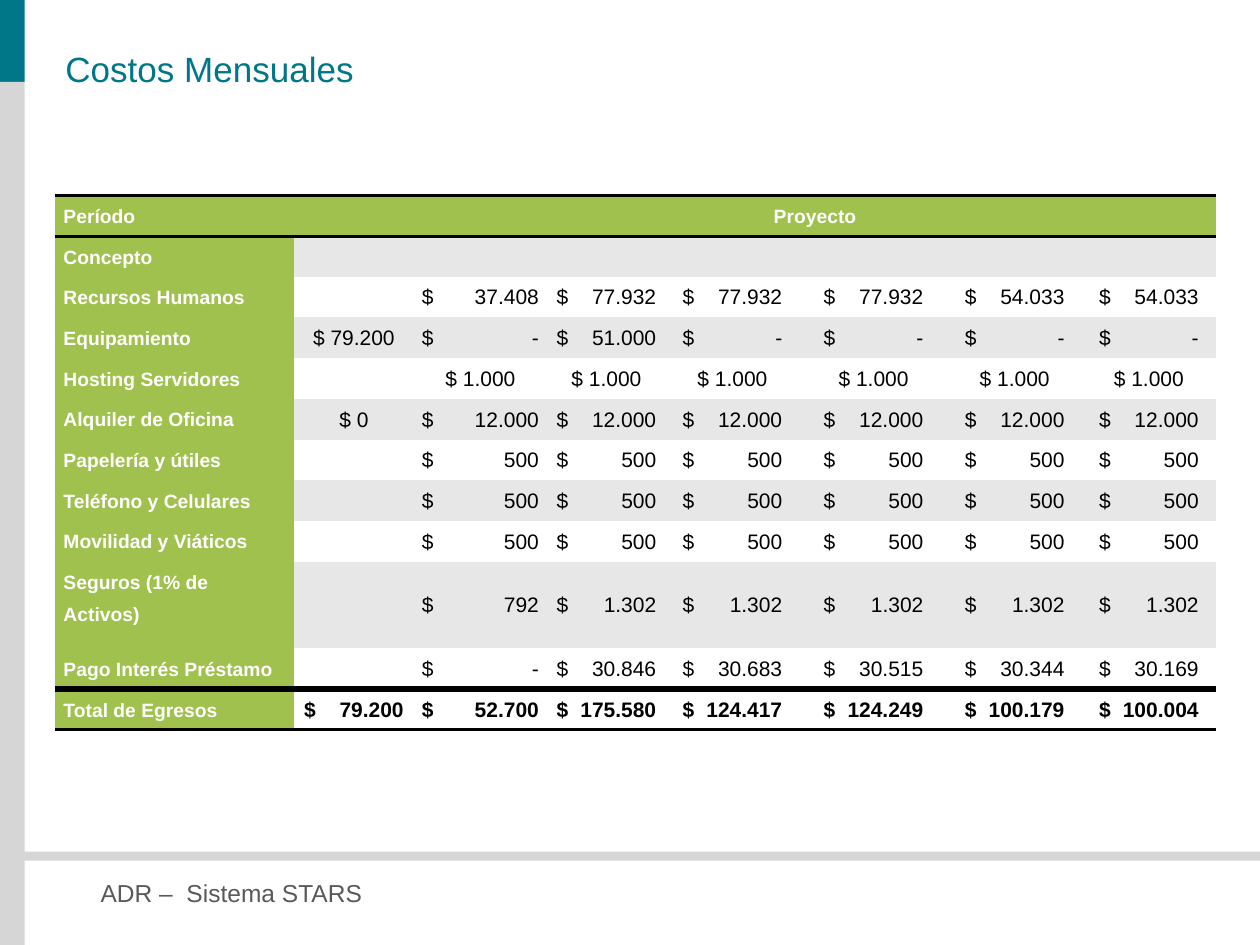
from lxml import etree
from pptx import Presentation
from pptx import util as u
from pptx.dml.color import RGBColor
from pptx.enum import shapes, text
from pptx.oxml import ns

TEAL, GRAY, GREEN, BAND = "007788", "D6D6D6", "A1C14E", "E7E7E7"
WHITE, BLACK, FOOTER_GRAY = "FFFFFF", "000000", "595959"
NO_STYLE = "{2D5ABB26-0587-4C30-8999-92F81FD0307C}"
COLUMN_WIDTHS = [4.83, 2.41, 2.69, 2.39, 2.69, 3, 2.69, 2.72]
AMOUNT_WIDTHS = [2.01, 2.36] + [2.01] * 5
ROW_HEIGHT, TALL_ROW_HEIGHT = 0.82, 1.75
COSTS = [
    ("Recursos Humanos", ["", "37.408"] + ["77.932"] * 3 + ["54.033"] * 2),
    ("Equipamiento", ["$ 79.200", "-", "51.000"] + ["-"] * 4),
    ("Hosting Servidores", [""] + ["$ 1.000"] * 6),
    ("Alquiler de Oficina", ["$ 0"] + ["12.000"] * 6),
    ("Papelería y útiles", [""] + ["500"] * 6),
    ("Teléfono y Celulares", [""] + ["500"] * 6),
    ("Movilidad y Viáticos", [""] + ["500"] * 6),
    ("Seguros (1% de Activos)", ["", "792"] + ["1.302"] * 5),
    ("Pago Interés Préstamo",
     ["", "-", "30.846", "30.683", "30.515", "30.344", "30.169"]),
    ("Total de Egresos",
     ["79.200", "52.700", "175.580", "124.417", "124.249", "100.179", "100.004"]),
]


def color(hex_value):
    """Turn a hex string into a color."""
    return RGBColor.from_string(hex_value)


def style_text(paragraph, size, hex_value, bold=False):
    """Format every run of a paragraph."""
    for run in paragraph.runs:
        run.font.name = "Arial"
        run.font.size = u.Pt(size)
        run.font.bold = bold
        run.font.color.rgb = color(hex_value)


def add_bar(slide, left, top, width, height, hex_value):
    """Add a plain decorative bar."""
    bar = slide.shapes.add_shape(shapes.MSO_SHAPE.RECTANGLE, u.Cm(left),
                                 u.Cm(top), u.Cm(width), u.Cm(height))
    bar.shadow.inherit = False
    bar.fill.solid()
    bar.fill.fore_color.rgb = color(hex_value)
    bar.line.fill.background()


def add_line_of_text(slide, left, top, width, height, words, size, hex_value):
    """Add a text box without margins."""
    frame = slide.shapes.add_textbox(u.Cm(left), u.Cm(top), u.Cm(width),
                                     u.Cm(height)).text_frame
    frame.word_wrap = True
    frame.margin_left = frame.margin_right = 0
    frame.margin_top = frame.margin_bottom = 0
    frame.vertical_anchor = text.MSO_ANCHOR.MIDDLE
    frame.text = words
    style_text(frame.paragraphs[0], size, hex_value)


def set_margins(cell, side, top):
    """Set the side and top margins of a cell and drop the bottom one."""
    cell.margin_left = cell.margin_right = u.Cm(side)
    cell.margin_top = u.Cm(top)
    cell.margin_bottom = 0


def rule_row(row, top_width, bottom_width):
    """Draw black rules above and below a table row."""
    for cell in row.cells:
        properties = cell._tc.get_or_add_tcPr()
        for tag, width in (("a:lnT", top_width), ("a:lnB", bottom_width)):
            line = etree.SubElement(properties, ns.qn(tag), w=str(u.Pt(width)))
            fill = etree.SubElement(line, ns.qn("a:solidFill"))
            etree.SubElement(fill, ns.qn("a:srgbClr"), val=BLACK)


def fill_row(row, label_fill, body_fill):
    """Fill the label cell and the other cells of a row."""
    for index, cell in enumerate(row.cells):
        set_margins(cell, 0.02, 0.02)
        cell.fill.solid()
        cell.fill.fore_color.rgb = color(body_fill if index else label_fill)


def write_label(cell, words):
    """Write a bold white heading in a cell."""
    set_margins(cell, 0.18, 0)
    paragraph = cell.text_frame.paragraphs[0]
    paragraph.text = words
    paragraph.line_spacing = 1.5
    paragraph.space_before = u.Pt(6)
    style_text(paragraph, 11, WHITE, True)
    return paragraph


def write_amount(cell, amount, column_width, amount_width, bold):
    """Write an amount, with the peso sign and the figure set apart."""
    cell.vertical_anchor = text.MSO_ANCHOR.MIDDLE
    paragraph = cell.text_frame.paragraphs[0]
    if amount.startswith("$"):
        paragraph.text = amount
        paragraph.alignment = text.PP_ALIGN.CENTER
    else:
        paragraph.text = "$\t" + amount
        paragraph.alignment = text.PP_ALIGN.LEFT
        cell.margin_left = u.Cm((column_width - amount_width) / 2)
        tabs = etree.SubElement(paragraph._p.get_or_add_pPr(), ns.qn("a:tabLst"))
        etree.SubElement(tabs, ns.qn("a:tab"), pos=str(u.Cm(amount_width)), algn="r")
    style_text(paragraph, 12, BLACK, bold)


def add_cost_table(slide):
    """Add the table of monthly costs."""
    row_count = len(COSTS) + 2
    frame = slide.shapes.add_table(
        row_count, len(COLUMN_WIDTHS), u.Cm(1.1), u.Cm(3.94),
        u.Cm(sum(COLUMN_WIDTHS)), u.Cm(ROW_HEIGHT * row_count))
    costs = frame.table
    costs._tbl.tblPr.find(ns.qn("a:tableStyleId")).text = NO_STYLE
    for column, width in zip(costs.columns, COLUMN_WIDTHS):
        column.width = u.Cm(width)
    rows = list(costs.rows)
    rule_row(rows[0], 2, 2)
    rule_row(rows[-1], 4, 2)
    for index, row in enumerate(rows):
        row.height = u.Cm(ROW_HEIGHT)
        banded = index % 2 and row is not rows[-1]
        fill_row(row, GREEN, BAND if banded else WHITE)
    fill_row(rows[0], GREEN, GREEN)
    costs.cell(0, 2).merge(costs.cell(0, 7))
    write_label(costs.cell(0, 0), "Período")
    write_label(costs.cell(0, 2), "Proyecto").alignment = text.PP_ALIGN.CENTER
    write_label(costs.cell(1, 0), "Concepto")
    for row, (concept, amounts) in zip(rows[2:], COSTS):
        write_label(row.cells[0], concept)
        if concept.startswith("Seguros"):
            row.height = u.Cm(TALL_ROW_HEIGHT)
        for index, amount in enumerate(amounts):
            if amount:
                write_amount(row.cells[index + 1], amount, COLUMN_WIDTHS[index + 1],
                             AMOUNT_WIDTHS[index], row is rows[-1])


def main():
    """Build the monthly cost slide."""
    deck = Presentation()
    deck.slide_width, deck.slide_height = u.Cm(25.4), u.Cm(19.05)
    slide = deck.slides.add_slide(deck.slide_layouts[6])
    add_bar(slide, 0, 0, 0.5, 1.65, TEAL)
    add_bar(slide, 0, 1.65, 0.5, 17.4, GRAY)
    add_bar(slide, 0.43, 17.17, 24.97, 0.18, GRAY)
    add_line_of_text(slide, 2.03, 17.7, 18.24, 0.6, "ADR –  Sistema STARS",
                     14, FOOTER_GRAY)
    add_line_of_text(slide, 1.32, 0.97, 23.47, 0.81, "Costos Mensuales", 20, TEAL)
    add_cost_table(slide)
    deck.save("out.pptx")


if __name__ == "__main__":
    main()
